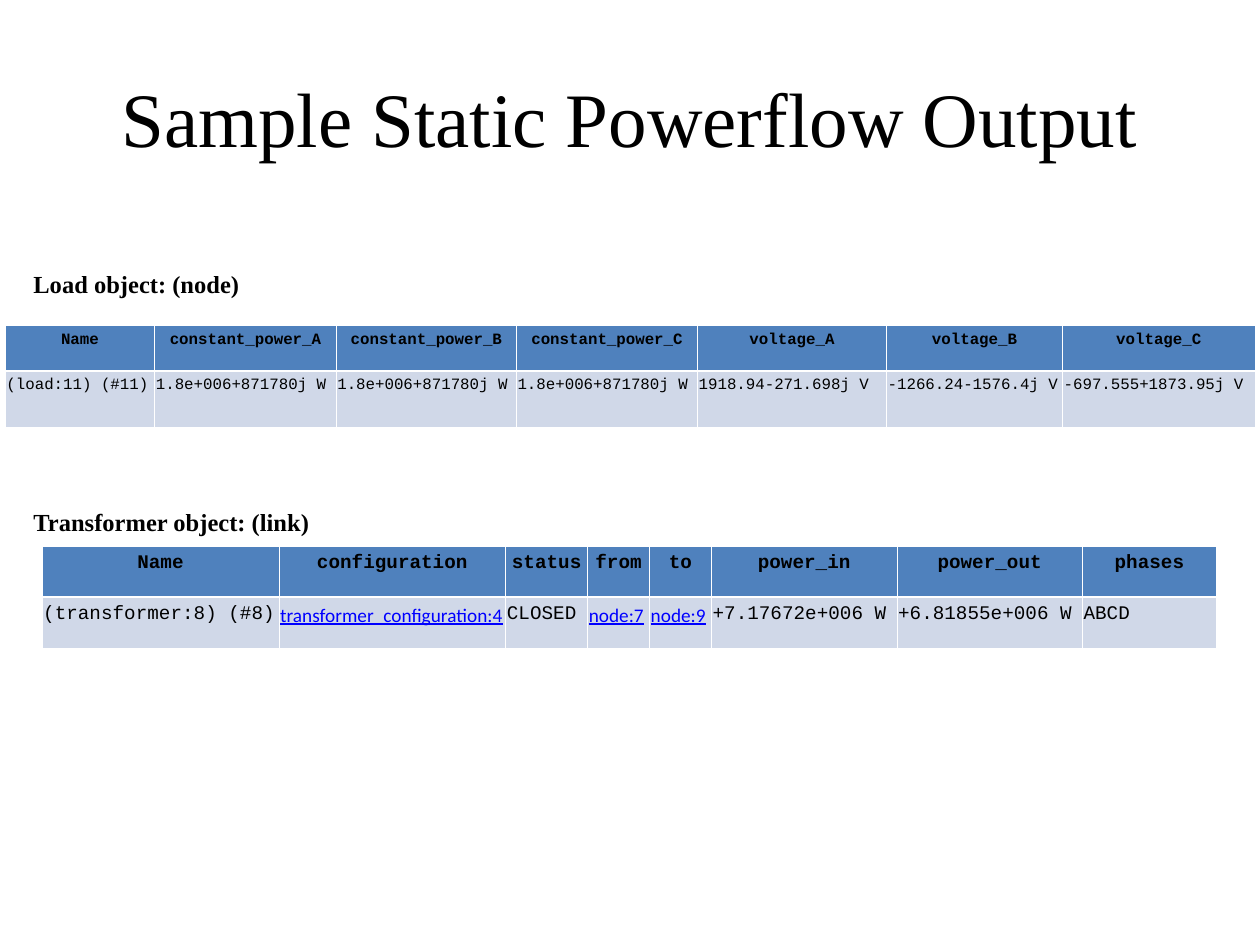
"""Build the slide showing sample static powerflow output for a load and a transformer."""
import pptx
import pptx.dml.color
import pptx.enum.text
import pptx.oxml
import pptx.oxml.ns
import pptx.util

Pt = pptx.util.Pt
ALIGN = pptx.enum.text.PP_ALIGN
ANCHOR = pptx.enum.text.MSO_ANCHOR
BLACK, WHITE, LINK_BLUE = "000000", "FFFFFF", "0000FF"
HEADER_FILL, VALUE_FILL = "4F81BD", "D0D8E8"
SERIF, MONO, SANS = "Times New Roman", "Courier New", "Calibri"
THIN, THICK = 0.45, 1.47

TITLE = "Sample Static Powerflow Output"
CAPTIONS = ["Load object: (node)", "Transformer object: (link)"]
CAPTION_GAP = 122.5
LINKED = {"transformer_configuration:4", "node:7", "node:9"}
OBJECT_TABLES = [
    {
        "left": 3, "top": 185.8, "size": 9, "heights": [26, 32.4],
        "columns": [
            ("Name", "(load:11) (#11)", 85.4),
            ("constant_power_A", "1.8e+006+871780j W", 103.7),
            ("constant_power_B", "1.8e+006+871780j W", 103),
            ("constant_power_C", "1.8e+006+871780j W", 103.5),
            ("voltage_A", "1918.94-271.698j V", 108),
            ("voltage_B", "-1266.24-1576.4j V", 100.6),
            ("voltage_C", "-697.555+1873.95j V", 110),
        ],
    },
    {
        "left": 24, "top": 312, "size": 11, "heights": [29.3, 29],
        "columns": [
            ("Name", "(transformer:8) (#8)", 135.4),
            ("configuration", "transformer_configuration:4", 129.6),
            ("status", "CLOSED", 46.8),
            ("from", "node:7", 35.4),
            ("to", "node:9", 35.4),
            ("power_in", "+7.17672e+006 W", 106),
            ("power_out", "+6.81855e+006 W", 106),
            ("phases", "ABCD", 76.6),
        ],
    },
]


def color(hex_value):
    return pptx.dml.color.RGBColor.from_string(hex_value)


def style(paragraph, font_name, size, hex_value=BLACK, bold=False, underline=False):
    for run in paragraph.runs:
        font = run.font
        font.name, font.size, font.bold, font.underline = font_name, Pt(size), bold, underline
        font.color.rgb = color(hex_value)


def add_borders(cell, widths):
    properties = cell._tc.get_or_add_tcPr()
    for side, width in widths.items():
        properties.append(pptx.oxml.parse_xml(
            f'<a:ln{side} {pptx.oxml.ns.nsdecls("a")} w="{int(Pt(width))}">'
            f'<a:solidFill><a:srgbClr val="{WHITE}"/></a:solidFill></a:ln{side}>'))


def fill_cell(cell, text, size, is_header):
    cell.margin_left = cell.margin_right = Pt(0.7)
    cell.margin_top = cell.margin_bottom = Pt(3.6)
    cell.vertical_anchor = ANCHOR.TOP
    add_borders(cell, {"L": THIN, "R": THIN,
                       "T": THIN if is_header else THICK,
                       "B": THICK if is_header else THIN})
    cell.fill.solid()
    cell.fill.fore_color.rgb = color(HEADER_FILL if is_header else VALUE_FILL)
    cell.text_frame.text = text
    paragraph = cell.text_frame.paragraphs[0]
    paragraph.alignment = ALIGN.CENTER if is_header else ALIGN.LEFT
    if text in LINKED:
        style(paragraph, SANS, size, LINK_BLUE, underline=True)
    else:
        style(paragraph, MONO, size, bold=is_header)


def add_object_table(slide, left, top, size, heights, columns):
    total_width = sum(width for _, _, width in columns)
    table = slide.shapes.add_table(len(heights), len(columns), Pt(left), Pt(top),
                                   Pt(total_width), Pt(sum(heights))).table
    table.horz_banding = False
    for row, height in zip(table.rows, heights):
        row.height = Pt(height)
    for index, (header, value, width) in enumerate(columns):
        table.columns[index].width = Pt(width)
        fill_cell(table.cell(0, index), header, size, True)
        fill_cell(table.cell(1, index), value, size, False)


def add_title(slide):
    title = slide.shapes.title
    title.left, title.top, title.width, title.height = Pt(36), Pt(21.6), Pt(648), Pt(90)
    frame = title.text_frame
    frame.text = TITLE
    frame.auto_size = pptx.enum.text.MSO_AUTO_SIZE.NONE
    frame.vertical_anchor = ANCHOR.MIDDLE
    frame.paragraphs[0].alignment = ALIGN.CENTER
    style(frame.paragraphs[0], SERIF, 44)


def add_captions(slide):
    frame = slide.shapes.add_textbox(Pt(12), Pt(150), Pt(708), Pt(234)).text_frame
    frame.word_wrap = True
    frame.margin_top = Pt(7.1)
    frame.text = "\n".join(CAPTIONS)
    for paragraph in frame.paragraphs:
        paragraph.line_spacing = 0.8
        style(paragraph, SERIF, 14, bold=True)
    frame.paragraphs[1].space_before = Pt(CAPTION_GAP)


def main():
    deck = pptx.Presentation()
    deck.slide_width, deck.slide_height = Pt(720), Pt(540)
    slide = deck.slides.add_slide(deck.slide_layouts[5])
    add_title(slide)
    add_captions(slide)
    for object_table in OBJECT_TABLES:
        add_object_table(slide, **object_table)
    deck.save("out.pptx")


if __name__ == "__main__":
    main()
